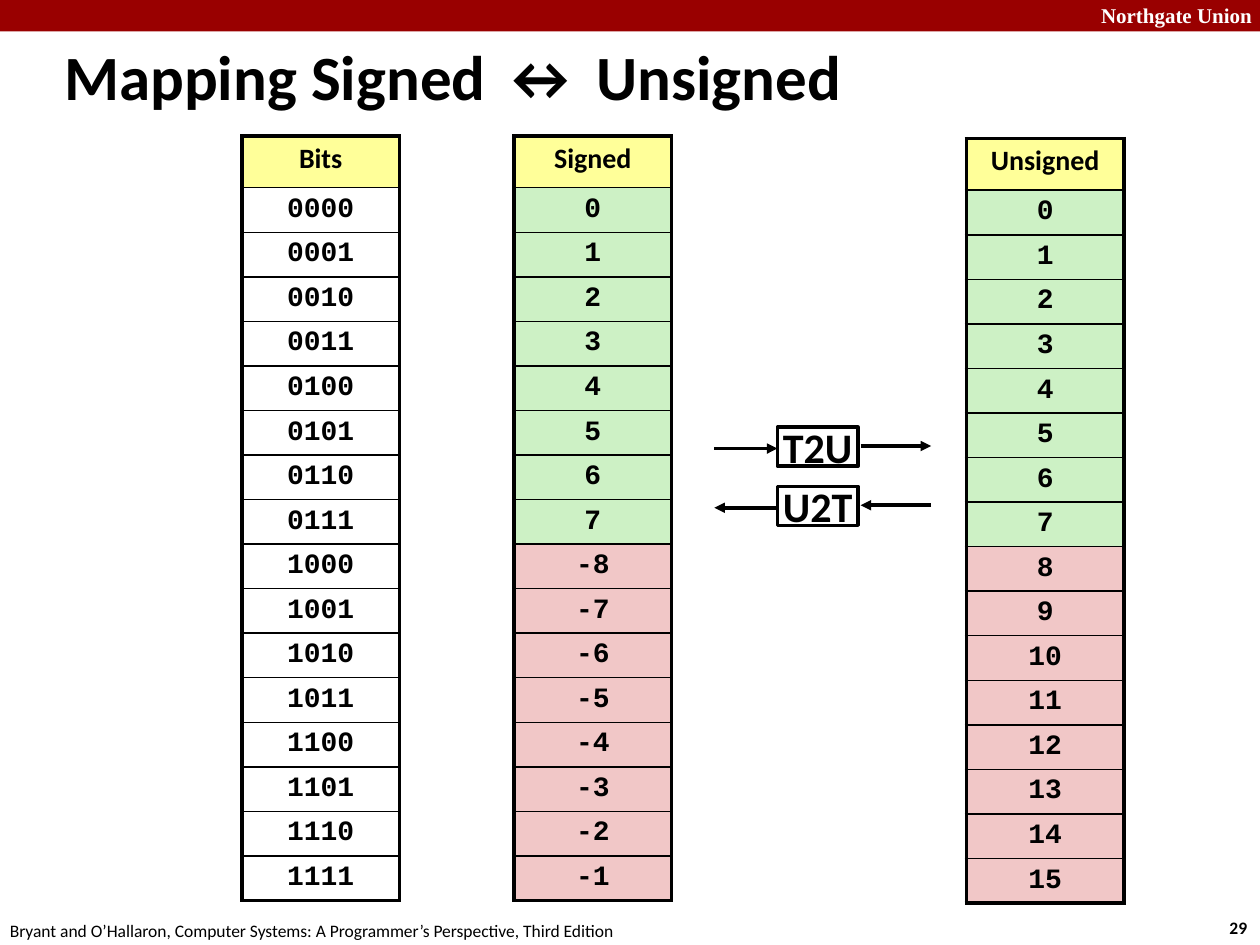
from pptx import Presentation
from pptx.dml.color import RGBColor
from pptx.enum.shapes import MSO_CONNECTOR, MSO_SHAPE
from pptx.enum.text import MSO_ANCHOR, PP_ALIGN
from pptx.oxml.ns import qn
from pptx.util import Inches, Pt
from lxml.etree import SubElement

BLACK = RGBColor(0, 0, 0)
WHITE = RGBColor(255, 255, 255)
RED = RGBColor(0x99, 0, 0)
YELLOW = RGBColor(0xFF, 0xFF, 0x99)
GREEN = RGBColor(0xCD, 0xF1, 0xC5)
PINK = RGBColor(0xF1, 0xC7, 0xC7)

BITS = 4
COUNT = 2 ** BITS
HALF = COUNT // 2
HEAD, ROW, WIDE, TALL = 0.41, 0.33, 1.25, 6.12
TABLES = [
    ("Bits", 1.92, 1.08, [f"{n:0{BITS}b}" for n in range(COUNT)], None),
    ("Signed", 4.08, 1.08,
     [str(n if n < HALF else n - COUNT) for n in range(COUNT)], (GREEN, PINK)),
    ("Unsigned", 7.67, 1.1, [str(n) for n in range(COUNT)], (GREEN, PINK)),
]
LABELS = [
    ("Northgate Union", (8.64, -0.03, 1.43, 0.3), 12, "Times New Roman", WHITE, True),
    ("29", (9.66, 7.23, 0.37, 0.27), 10, "Calibri", BLACK, True),
    ("Bryant and O’Hallaron, Computer Systems: A Programmer’s Perspective, Third Edition",
     (-0.02, 7.25, 5.08, 0.27), 10, "Calibri", BLACK, False),
    ("Mapping Signed ↔ Unsigned", (0.44, 0.27, 7.46, 0.61), 36, "Calibri", BLACK, True),
]
MAPS = [("T2U", 3.39, True), ("U2T", 3.86, False)]
ARROWS = [(5.67, 6.17, 0.17), (6.83, 7.39, 0.15)]

deck = Presentation()
deck.slide_width, deck.slide_height = Inches(10), Inches(7.5)
slide = deck.slides.add_slide(deck.slide_layouts[6])
shapes = slide.shapes


def write(para, text, size, face="Calibri", color=BLACK, bold=True):
    run = para.add_run()
    run.text = text
    run.font.size, run.font.name, run.font.bold = Pt(size), face, bold
    run.font.color.rgb = color


def box(spot, fill, line=None):
    shape = shapes.add_shape(MSO_SHAPE.RECTANGLE, *map(Inches, spot))
    shape.shadow.inherit = False
    shape.fill.solid()
    shape.fill.fore_color.rgb = fill
    if line:
        shape.line.color.rgb, shape.line.width = BLACK, Pt(line)
    else:
        shape.line.fill.background()
    return shape


def edge(props, side, width):
    line = SubElement(props, qn(f"a:{side}"), w=str(Pt(width)))
    fill = SubElement(line, qn("a:solidFill"))
    SubElement(fill, qn("a:srgbClr"), val=str(BLACK))


def dress(cell, text, face, fill, top, base):
    cell.margin_left = cell.margin_right = Inches(0.05)
    cell.margin_top = cell.margin_bottom = Inches(0.05)
    para = cell.text_frame.paragraphs[0]
    para.alignment, para.line_spacing = PP_ALIGN.CENTER, 0.95
    gap = SubElement(para._p.get_or_add_pPr(), qn("a:spcBef"))
    SubElement(gap, qn("a:spcPct"), val="50000")
    write(para, text, 16, face)
    props = cell._tc.get_or_add_tcPr()
    for side, width in (("lnL", 2.25), ("lnR", 2.25), ("lnT", top), ("lnB", base)):
        edge(props, side, width)
    if fill:
        cell.fill.solid()
        cell.fill.fore_color.rgb = fill
    else:
        cell.fill.background()


def column(title, left, top, values, fills):
    frame = shapes.add_table(COUNT + 1, 1, *map(Inches, (left, top, WIDE, TALL)))
    table = frame.table
    table.first_row = table.horz_banding = False
    for n, text in enumerate([title] + values):
        first = n == 0
        table.rows[n].height = Inches(HEAD if first else ROW)
        fill = YELLOW if first else fills and fills[n > HALF]
        dress(table.cell(n, 0), text, "Calibri" if first else "Courier New", fill,
              2.25 if first else 1, 2.25 if n == COUNT else 1)
    frame.height = Inches(TALL)


def arrow(start, end, y):
    link = shapes.add_connector(MSO_CONNECTOR.STRAIGHT, *map(Inches, (start, y, end, y)))
    link.line.color.rgb, link.line.width = BLACK, Pt(2)
    SubElement(link.line._get_or_add_ln(), qn("a:tailEnd"), type="triangle")
    SubElement(link._element.spPr, qn("a:effectLst"))


box((0, 0, 10, 0.25), RED)
for text, spot, size, face, color, bold in LABELS:
    label = shapes.add_textbox(*map(Inches, spot))
    frame = label.text_frame
    frame.word_wrap = False
    if size == 36:
        frame.margin_left = frame.margin_right = Inches(0.07)
        frame.margin_top = frame.margin_bottom = Inches(0.03)
    write(frame.paragraphs[0], text, size, face, color, bold)

for spec_row in TABLES:
    column(*spec_row)

for name, top, ahead in MAPS:
    frame = box((6.17, top, 0.64, 0.31), WHITE, 2).text_frame
    frame.word_wrap, frame.vertical_anchor = False, MSO_ANCHOR.MIDDLE
    frame.paragraphs[0].alignment = PP_ALIGN.CENTER
    write(frame.paragraphs[0], name, 24)
    for left, right, drop in ARROWS:
        ends = (left, right) if ahead else (right, left)
        arrow(*ends, top + drop)

deck.save("out.pptx")
